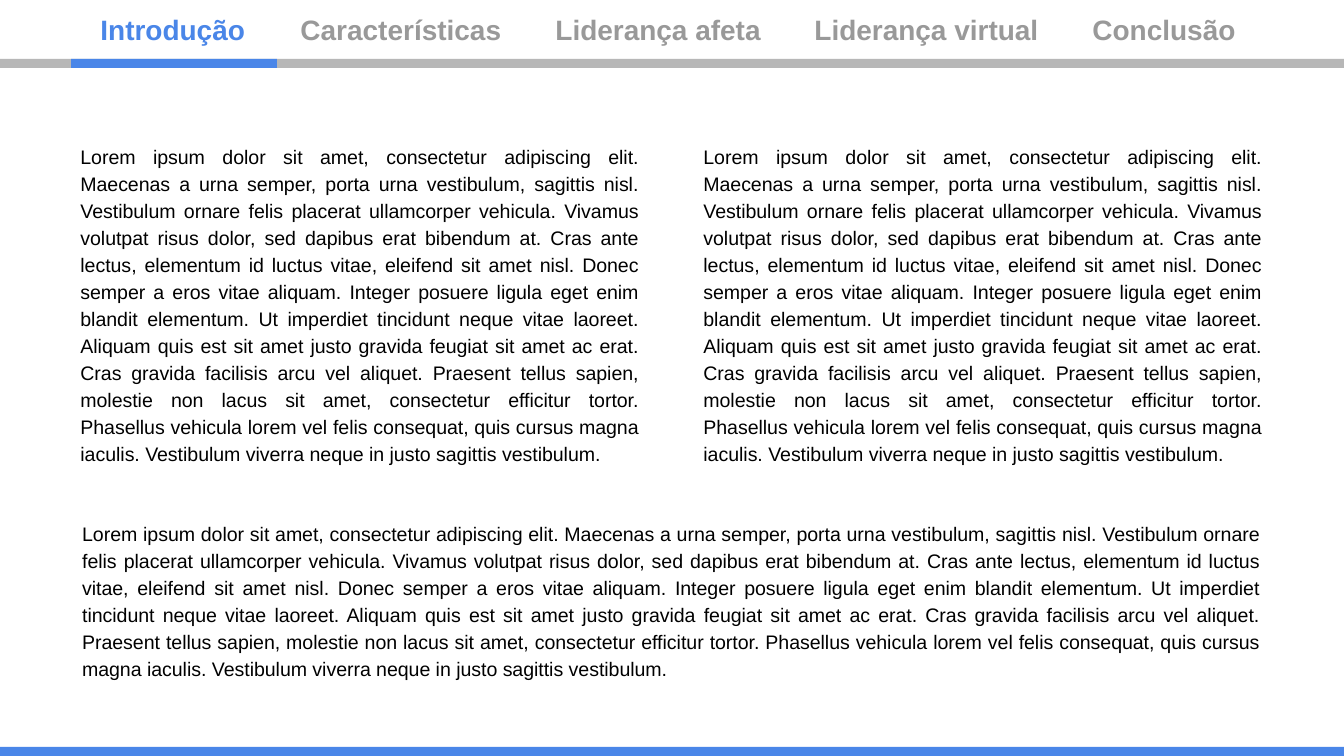
from lxml import etree
from pptx import Presentation
from pptx import util as u
from pptx.dml.color import RGBColor
from pptx.enum import shapes, text
from pptx.oxml.ns import qn

PX = 914400 / 134.4
WIDTH, HEIGHT = 1344, 756
FONT = "Arial"
COLORS = {"accent": "4A86E8", "rule": "B7B7B7", "inactive": "999999", "body": "000000"}

# Section name and where it starts, in px from the left edge
SECTIONS = [
    ("Introdução", 101),
    ("Características", 301),
    ("Liderança afeta", 556),
    ("Liderança virtual", 815),
    ("Conclusão", 1093),
]
CURRENT = "Introdução"
NAV_BOX = (87, -1, 1168, 60)

LOREM = (
    "Lorem ipsum dolor sit amet, consectetur adipiscing elit. Maecenas a urna semper, "
    "porta urna vestibulum, sagittis nisl. Vestibulum ornare felis placerat ullamcorper "
    "vehicula. Vivamus volutpat risus dolor, sed dapibus erat bibendum at. Cras ante "
    "lectus, elementum id luctus vitae, eleifend sit amet nisl. Donec semper a eros vitae "
    "aliquam. Integer posuere ligula eget enim blandit elementum. Ut imperdiet tincidunt "
    "neque vitae laoreet. Aliquam quis est sit amet justo gravida feugiat sit amet ac erat. "
    "Cras gravida facilisis arcu vel aliquet. Praesent tellus sapien, molestie non lacus "
    "sit amet, consectetur efficitur tortor. Phasellus vehicula lorem vel felis consequat, "
    "quis cursus magna iaculis. Vestibulum viverra neque in justo sagittis vestibulum."
)
COLUMN_BOXES = [(67, 128, 586, 400), (690, 128, 586, 400)]
WIDE_BOX = (69, 505, 1206, 236)

BARS = [
    ((0, 59, WIDTH, 9), "rule"),
    ((71, 59, 206, 9), "accent"),
    ((0, HEIGHT - 9, WIDTH, 9), "accent"),
]


def px(length):
    return u.Emu(round(length * PX))


def color(name):
    return RGBColor.from_string(COLORS[name])


def place(part, box):
    part.left, part.top, part.width, part.height = map(px, box)


def prepare_frame(part):
    """Give the text frame even insets, top anchoring and fixed size."""
    frame = part.text_frame
    frame.word_wrap = True
    frame.auto_size = text.MSO_AUTO_SIZE.NONE
    frame.vertical_anchor = text.MSO_ANCHOR.TOP
    frame.margin_left = frame.margin_right = u.Inches(0.1)
    frame.margin_top = frame.margin_bottom = u.Inches(0.1)
    return frame


def add_bar(slide, box, fill):
    bar = slide.shapes.add_shape(shapes.MSO_SHAPE.RECTANGLE, *map(px, box))
    bar.shadow.inherit = False
    bar.fill.solid()
    bar.fill.fore_color.rgb = color(fill)
    bar.line.fill.background()


def fill_navigation(title):
    place(title, NAV_BOX)
    line = prepare_frame(title).paragraphs[0]
    line.alignment = text.PP_ALIGN.LEFT
    first_start = SECTIONS[0][1]
    tabs = etree.SubElement(line._p.get_or_add_pPr(), qn("a:tabLst"))
    for _, start in SECTIONS[1:]:
        etree.SubElement(tabs, qn("a:tab"), pos=str(px(start - first_start)), algn="l")
    for name, start in SECTIONS:
        section = line.add_run()
        section.text = name if start == first_start else "\t" + name
        section.font.name, section.font.size, section.font.bold = FONT, u.Pt(15), True
        section.font.color.rgb = color("accent" if name == CURRENT else "inactive")


def fill_body(part, box):
    place(part, box)
    paragraph = prepare_frame(part).paragraphs[0]
    properties = paragraph._p.get_or_add_pPr()
    properties.set("marL", "0")
    properties.set("indent", "0")
    etree.SubElement(properties, qn("a:buNone"))
    paragraph.alignment = text.PP_ALIGN.JUSTIFY
    paragraph.line_spacing = 1.15
    paragraph.space_before = u.Pt(0)
    passage = paragraph.add_run()
    passage.text = LOREM
    passage.font.name, passage.font.size = FONT, u.Pt(10.5)
    passage.font.color.rgb = color("body")


def main():
    deck = Presentation()
    deck.slide_width, deck.slide_height = px(WIDTH), px(HEIGHT)
    slide = deck.slides.add_slide(deck.slide_layouts.get_by_name("Two Content"))

    for box, fill in BARS:
        add_bar(slide, box, fill)

    title, *columns = slide.placeholders
    fill_navigation(title)
    for column, box in zip(columns, COLUMN_BOXES):
        fill_body(column, box)
    fill_body(slide.shapes.add_textbox(*map(px, WIDE_BOX)), WIDE_BOX)

    deck.save("out.pptx")


if __name__ == "__main__":
    main()
